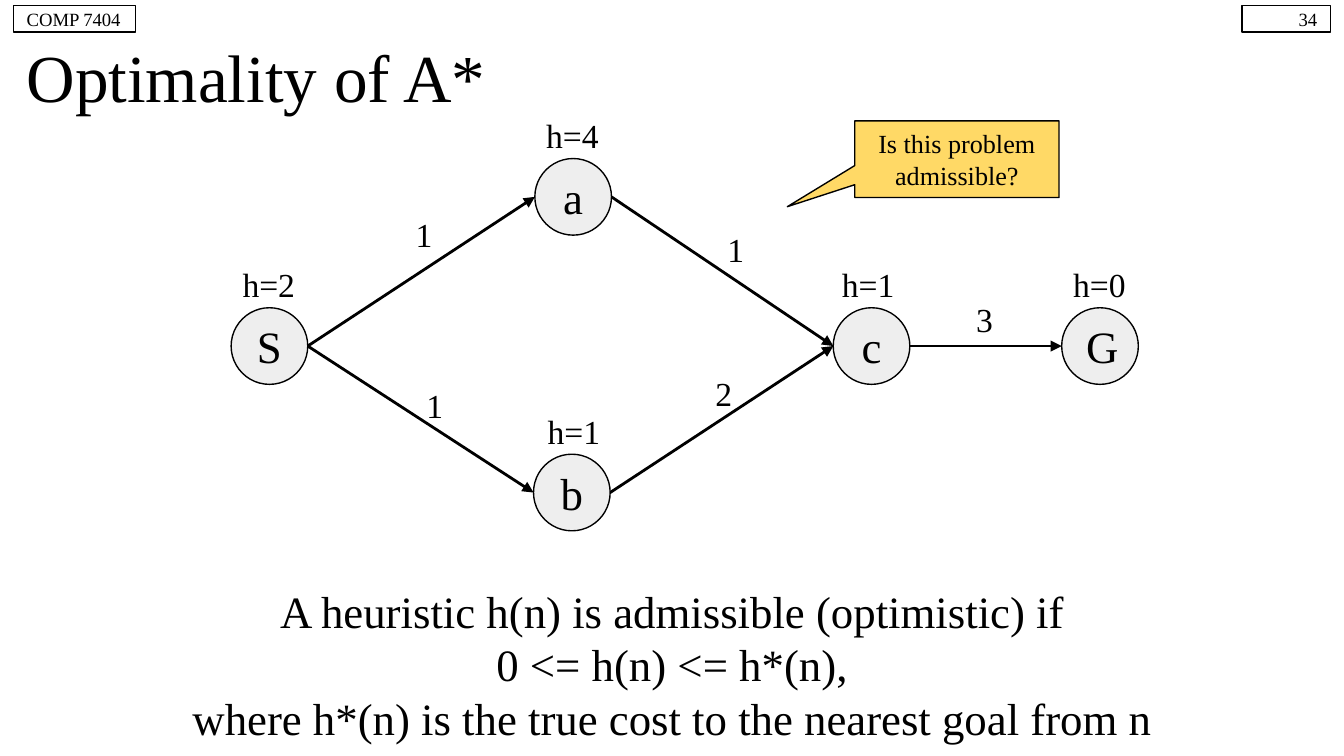
import dataclasses

import lxml.etree
import pptx
import pptx.dml.color
import pptx.enum.shapes
import pptx.enum.text
import pptx.oxml.ns
import pptx.util

KIND = pptx.enum.shapes.MSO_SHAPE
ALIGN = pptx.enum.text.PP_ALIGN
COLS, ROWS = 100, 56.25  # square cells, a tenth of an inch each
SIDE = 5.7  # node diameter, in cells
TAG = (6, 3.5)  # heuristic label size, in cells


@dataclasses.dataclass(frozen=True)
class Theme:
    font: str = "Times New Roman"
    ink: str = "000000"
    node: str = "EEEEEE"
    call: str = "FFD966"
    title: int = 36
    large: int = 24
    label: int = 18
    note: int = 14
    small: int = 10
    thin: float = 0.75
    thick: float = 1.5


THEME = Theme()

# name: left, top, heuristic, left of the heuristic label
NODES = {
    "S": (17.2, 22.9, "h=2", 17),
    "a": (39.8, 11.8, "h=4", 39.6),
    "b": (39.7, 33.8, "h=1", 39.7),
    "c": (62, 22.9, "h=1", 61.6),
    "G": (79, 22.9, "h=0", 78.8),
}

# start, end, cost, left and top of the cost label
EDGES = [
    ("S", "a", "1", 28.7, 14.6),
    ("S", "b", "1", 29.5, 27.3),
    ("a", "c", "1", 51.9, 15.7),
    ("b", "c", "2", 51, 26.4),
    ("c", "G", "3", 70.4, 20.9),
]

CLAIM = [
    "A heuristic h(n) is admissible (optimistic) if",
    "0 <= h(n) <= h*(n),",
    "where h*(n) is the true cost to the nearest goal from n",
]


def cells(*counts):
    return [pptx.util.Inches(count / 10) for count in counts]


def color(code):
    return pptx.dml.color.RGBColor.from_string(code)


def apply(item, values):
    for name, value in values.items():
        setattr(item, name, value)


def write(shape, lines, size, align=ALIGN.CENTER):
    frame = shape.text_frame
    inset = pptx.util.Inches(0.1)
    apply(frame, {
        "text": "\n".join(lines),
        "word_wrap": True,
        "vertical_anchor": pptx.enum.text.MSO_ANCHOR.MIDDLE,
        "margin_left": inset, "margin_right": inset,
        "margin_top": inset, "margin_bottom": inset,
    })
    for para in frame.paragraphs:
        para.alignment = align
        apply(para.font, {"name": THEME.font, "size": pptx.util.Pt(size)})
        para.font.color.rgb = color(THEME.ink)


def label(slide, box, lines, size, align=ALIGN.CENTER):
    write(slide.shapes.add_textbox(*cells(*box)), lines, size, align)


def block(slide, kind, box, text, size, fill=None, align=ALIGN.CENTER):
    """Add an outlined shape, hollow unless a fill is given."""
    shape = slide.shapes.add_shape(kind, *cells(*box))
    shape.shadow.inherit = False
    if fill:
        shape.fill.solid()
        shape.fill.fore_color.rgb = color(fill)
    else:
        shape.fill.background()
    shape.line.color.rgb = color(THEME.ink)
    shape.line.width = pptx.util.Pt(THEME.thin)
    write(shape, [text], size, align)
    return shape


def arrow(slide, start, end):
    """Draw from the right side of one node to the left side of another."""
    (left, top), (right, base) = NODES[start][:2], NODES[end][:2]
    ends = cells(left + SIDE, top + SIDE / 2, right, base + SIDE / 2)
    line = slide.shapes.add_connector(
        pptx.enum.shapes.MSO_CONNECTOR.STRAIGHT, *ends)
    line.line.color.rgb = color(THEME.ink)
    line.line.width = pptx.util.Pt(THEME.thick)
    qn = pptx.oxml.ns.qn
    props = line.element.spPr
    lxml.etree.SubElement(props.find(qn("a:ln")), qn("a:tailEnd"), type="triangle")
    lxml.etree.SubElement(props, qn("a:effectLst"))


def graph(slide):
    for start, end, cost, left, top in EDGES:
        arrow(slide, start, end)
        label(slide, (left, top, SIDE, SIDE), [cost], THEME.label)
    for name, (left, top, guess, edge) in NODES.items():
        block(slide, KIND.OVAL, (left, top, SIDE, SIDE), name,
              THEME.large, THEME.node)
        label(slide, (edge, top - TAG[1], *TAG), [guess], THEME.label)


def header(slide):
    label(slide, (1, 2.8, COLS - 2, 5.7), ["Optimality of A*"],
          THEME.title, ALIGN.LEFT)
    block(slide, KIND.RECTANGLE, (92.4, 0.4, 6.6, 2), "34",
          THEME.small, align=ALIGN.RIGHT)
    block(slide, KIND.RECTANGLE, (1, 0.4, 9.1, 2), "COMP 7404",
          THEME.small, align=ALIGN.LEFT)


def callout(slide):
    shape = block(slide, KIND.ROUNDED_RECTANGULAR_CALLOUT, (63.6, 9, 15.2, 5.7),
                  "Is this problem admissible?", THEME.note, THEME.call)
    for index, value in enumerate((-0.83, 0.62, 0)):
        shape.adjustments[index] = value


def main():
    deck = pptx.Presentation()
    deck.slide_width, deck.slide_height = cells(COLS, ROWS)
    slide = deck.slides.add_slide(deck.slide_layouts[6])
    header(slide)
    graph(slide)
    callout(slide)
    label(slide, (0, 42.6, COLS, 13.6), CLAIM, THEME.large)
    deck.save("out.pptx")


if __name__ == "__main__":
    main()
